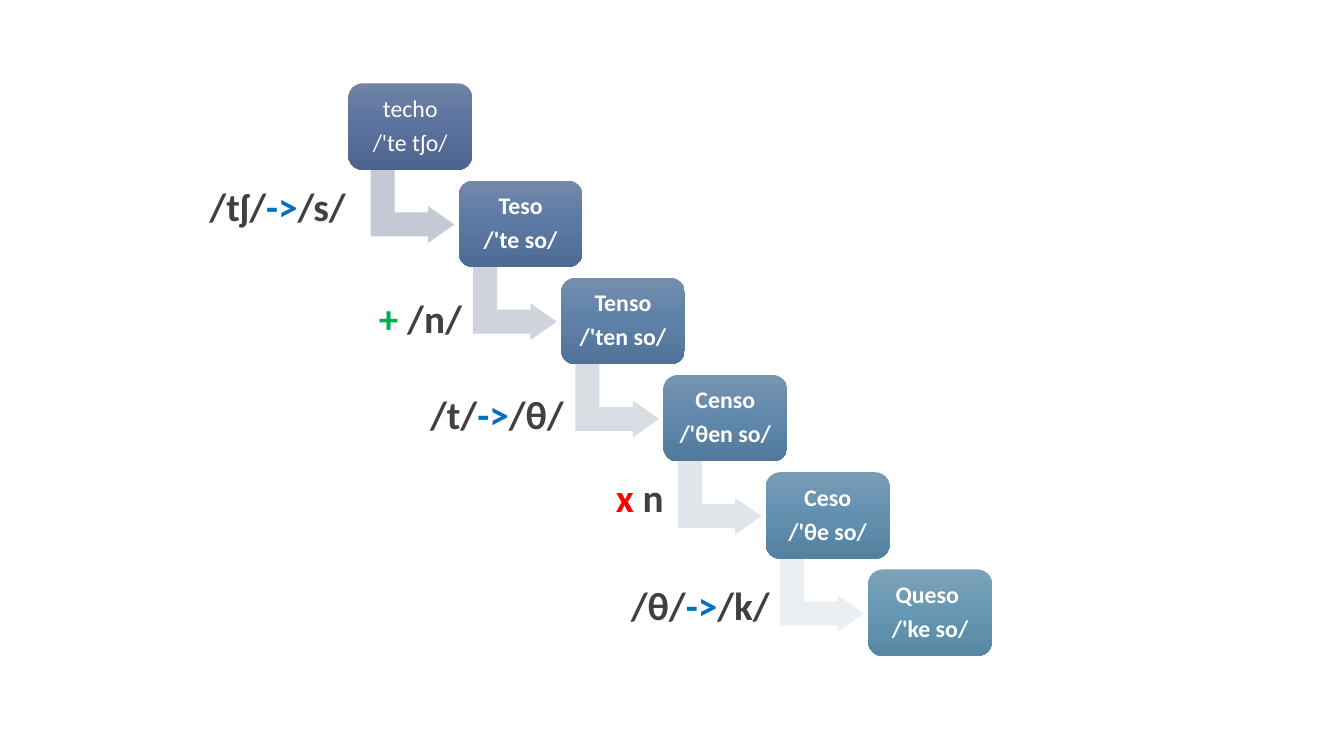
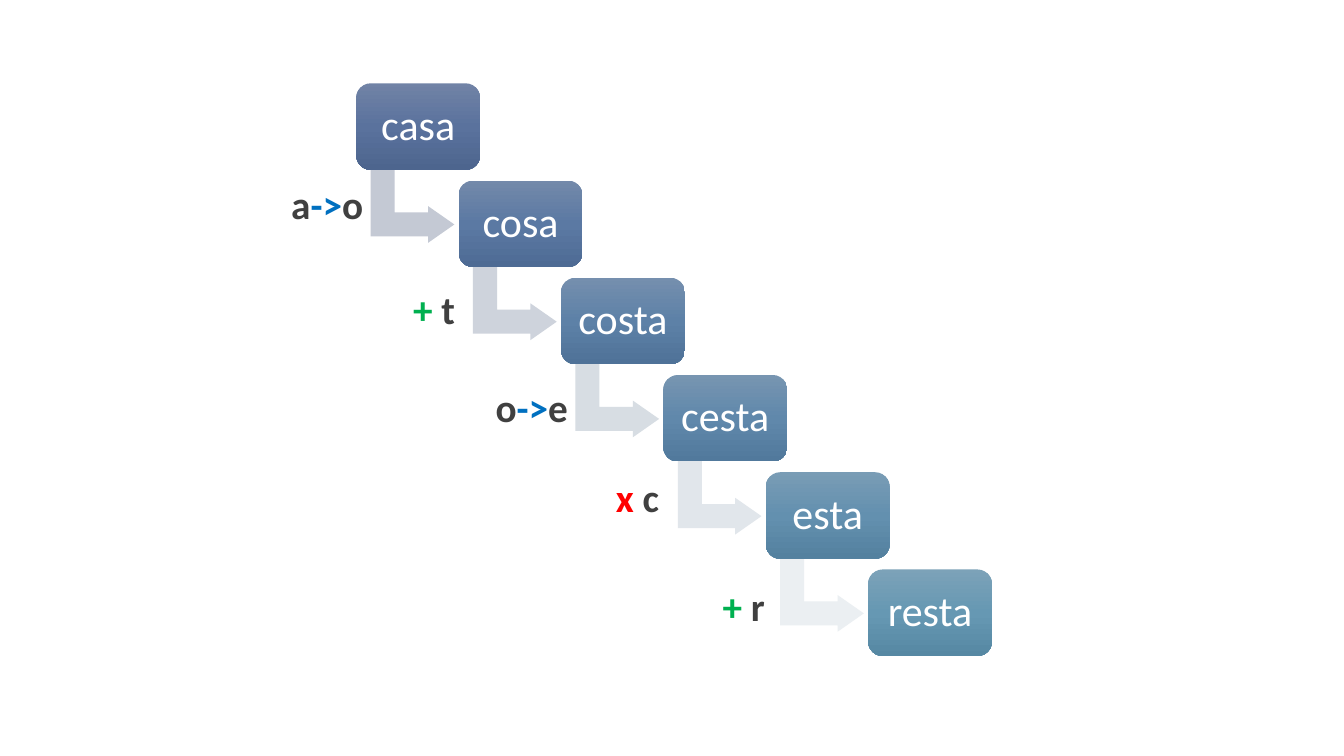
import copy
from dataclasses import dataclass

import pptx
import pptx.dml.color
import pptx.enum.shapes
import pptx.enum.text
import pptx.oxml.ns
import pptx.presentation
import pptx.shapes.autoshape
import pptx.slide
import pptx.util

Cm = pptx.util.Cm
Pt = pptx.util.Pt
RGBColor = pptx.dml.color.RGBColor
Shape = pptx.enum.shapes.MSO_SHAPE

FONT = "Calibri"
WHITE = RGBColor(0xFF, 0xFF, 0xFF)
DARK = RGBColor(0x40, 0x40, 0x40)
GREEN = RGBColor(0x00, 0xB0, 0x50)
BLUE = RGBColor(0x00, 0x70, 0xC0)
RED = RGBColor(0xFF, 0x00, 0x00)
SIGNS = {"+ ": GREEN, "->": BLUE, "x ": RED}

BOX_FILLS = [
    [RGBColor.from_string(code) for code in row.split()]
    for row in (
        "7183A6 5A729D 4D658E",
        "7389AA 5B79A3 4E6B94",
        "758FAE 5D81A7 4F7298",
        "7795B1 6088AB 51799C",
        "799CB5 6390AF 54819F",
        "7CA2B8 6698B3 5688A3",
    )
]
ARROW_FILLS = [
    RGBColor.from_string(code)
    for code in ("C4C9D4", "CED3DC", "D7DDE3", "E1E6EB", "EBEFF2")
]

STEP_X, STEP_Y = Cm(2.58), Cm(2.45)
BOX_X, BOX_Y, BOX_W, BOX_H = Cm(8.98), Cm(2.1), Cm(3.12), Cm(2.18)
ARROW_X, ARROW_Y, ARROW_W, ARROW_H = Cm(9.47), Cm(4.14), Cm(1.85), Cm(2.11)
LABEL_H = Cm(1.45)


@dataclass
class Word:
    lines: list[str]
    bold: bool = False
    shift: float = 0


@dataclass
class Label:
    x: float
    y: float
    width: float
    texts: list[str]
    wrap: bool = False


@dataclass
class Chain:
    size: int
    inset: float
    words: list[Word]
    labels: list[Label]


CHAINS = [
    Chain(
        17,
        0.18,
        [
            Word(["techo", "/'te tʃo/"], shift=-0.2),
            Word(["Teso", "/'te so/"], True),
            Word(["Tenso", "/'ten so/"], True),
            Word(["Censo", "/'θen so/"], True),
            Word(["Ceso", "/'θe so/"], True),
            Word(["Queso ", "/'ke so/"], True),
        ],
        [
            Label(5.03, 4.47, 4.7, ["/tʃ/", "->", "/s/"], True),
            Label(9.3, 7.29, 2.62, ["+ ", "/n/"]),
            Label(10.59, 9.7, 3.91, ["/t/", "->", "/θ/"], True),
            Label(15.27, 11.81, 1.73, ["x ", "n"]),
            Label(15.65, 14.53, 4.57, ["/θ/", "->", "/k/"], True),
        ],
    ),
    Chain(
        30,
        0.3,
        [Word([text]) for text in ("casa", "cosa", "costa", "cesta", "esta", "resta")],
        [
            Label(7.09, 4.42, 2.34, ["a", "->", "o"]),
            Label(10.16, 7.06, 1.6, ["+ ", "t"]),
            Label(12.24, 9.53, 2.39, ["o", "->", "e"]),
            Label(15.27, 11.81, 1.63, ["x ", "c"]),
            Label(17.96, 14.55, 1.6, ["+ ", "r"]),
        ],
    ),
]


def blend(shape: pptx.shapes.autoshape.Shape, tones: list[RGBColor]) -> None:
    shape.fill.gradient()
    shape.fill.gradient_angle = 270
    stops = shape._element.spPr.find(".//" + pptx.oxml.ns.qn("a:gsLst"))
    stops.insert(1, copy.deepcopy(stops[0]))
    for i, (stop, tone) in enumerate(zip(shape.fill.gradient_stops, tones)):
        stop.position = i / 2
        stop.color.rgb = tone


def draw_arrow(slide: pptx.slide.Slide, i: int) -> None:
    arrow = slide.shapes.add_shape(
        Shape.BENT_UP_ARROW, ARROW_X + i * STEP_X, ARROW_Y + i * STEP_Y, ARROW_W, ARROW_H
    )
    arrow.rotation = 90
    for k, value in enumerate((0.328, 0.25, 0.358)):
        arrow.adjustments[k] = value
    arrow.shadow.inherit = False
    arrow.fill.solid()
    arrow.fill.fore_color.rgb = ARROW_FILLS[i]
    arrow.line.fill.background()


def draw_box(slide: pptx.slide.Slide, i: int, word: Word, chain: Chain) -> None:
    box = slide.shapes.add_shape(
        Shape.ROUNDED_RECTANGLE,
        BOX_X + i * STEP_X + Cm(word.shift),
        BOX_Y + i * STEP_Y,
        BOX_W,
        BOX_H,
    )
    box.shadow.inherit = False
    box.line.fill.background()
    blend(box, BOX_FILLS[i])
    frame = box.text_frame
    frame.word_wrap = True
    frame.vertical_anchor = pptx.enum.text.MSO_ANCHOR.MIDDLE
    frame.margin_left = frame.margin_right = Cm(chain.inset)
    frame.margin_top = frame.margin_bottom = Cm(chain.inset)
    for k, line in enumerate(word.lines):
        para = frame.add_paragraph() if k else frame.paragraphs[0]
        para.text = line
        para.alignment = pptx.enum.text.PP_ALIGN.CENTER
        para.line_spacing = 0.9
        para.space_after = Pt(chain.size * 0.35)
        para.font.name = FONT
        para.font.size = Pt(chain.size)
        para.font.bold = word.bold
        para.font.color.rgb = WHITE


def draw_label(slide: pptx.slide.Slide, label: Label) -> None:
    box = slide.shapes.add_textbox(Cm(label.x), Cm(label.y), Cm(label.width), LABEL_H)
    frame = box.text_frame
    frame.word_wrap = label.wrap
    frame.auto_size = pptx.enum.text.MSO_AUTO_SIZE.SHAPE_TO_FIT_TEXT
    para = frame.paragraphs[0]
    para.font.name = FONT
    para.font.size = Pt(28)
    para.font.bold = True
    for text in label.texts:
        run = para.add_run()
        run.text = text
        run.font.color.rgb = SIGNS.get(text, DARK)


def draw_chain(deck: pptx.presentation.Presentation, chain: Chain) -> None:
    slide = deck.slides.add_slide(deck.slide_layouts[6])
    for i, word in enumerate(chain.words):
        if i < len(ARROW_FILLS):
            draw_arrow(slide, i)
        draw_box(slide, i, word, chain)
    for label in chain.labels:
        draw_label(slide, label)


def main() -> None:
    deck = pptx.Presentation()
    deck.slide_width, deck.slide_height = Cm(33.87), Cm(19.05)
    for chain in CHAINS:
        draw_chain(deck, chain)
    deck.save("out.pptx")


if __name__ == "__main__":
    main()
